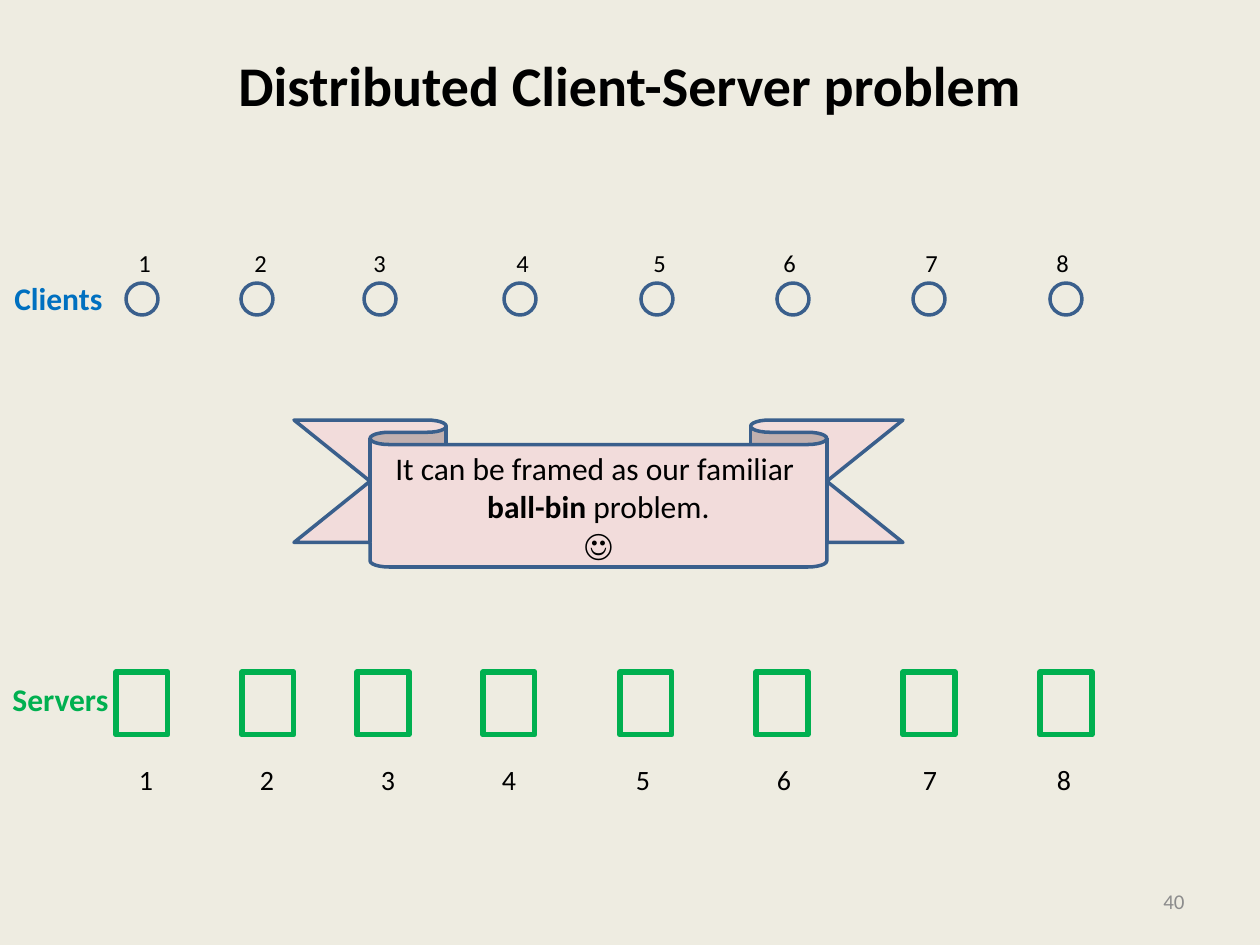
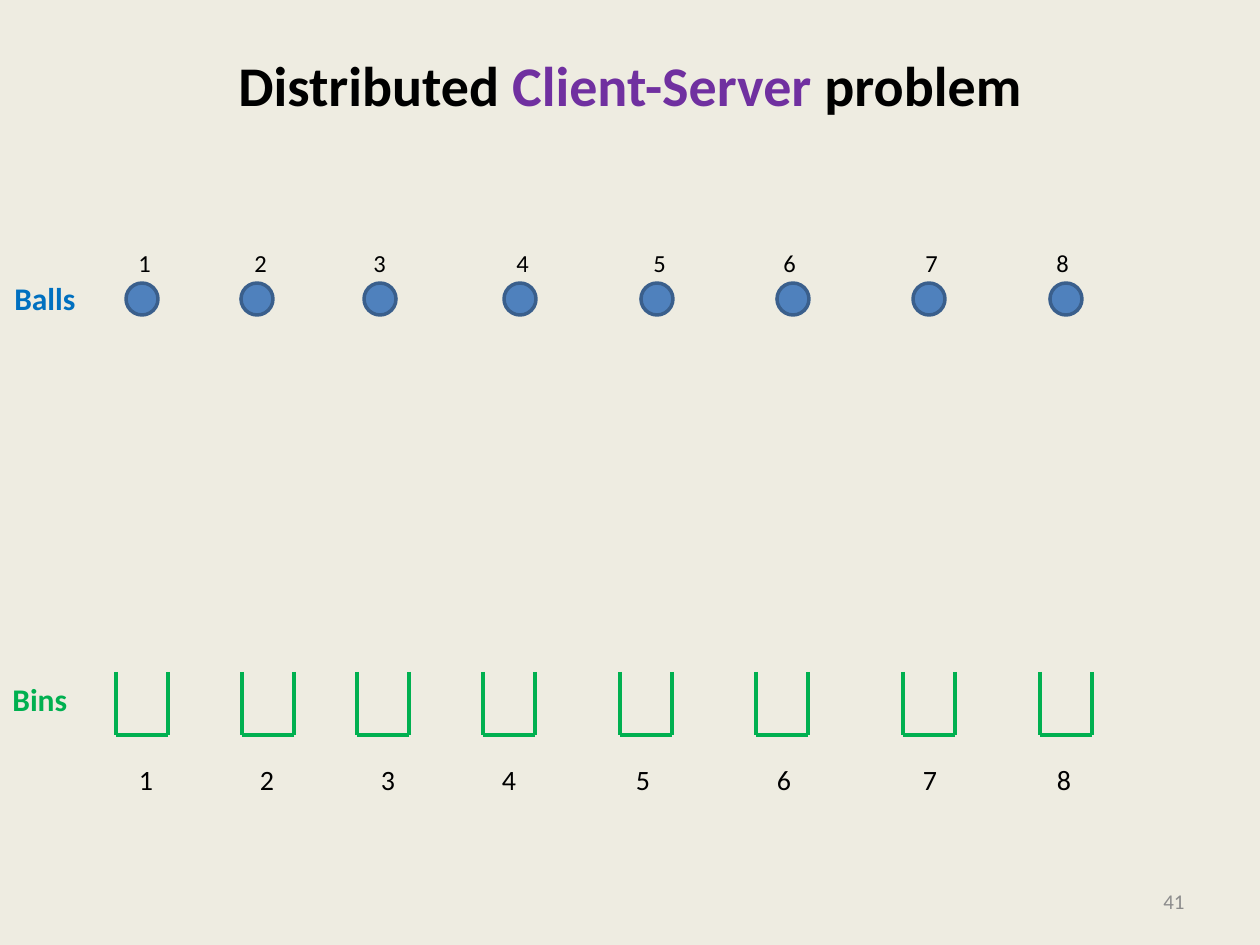
from collections import namedtuple
from dataclasses import dataclass

from lxml.etree import SubElement
from pptx import Presentation
from pptx.dml.color import RGBColor
from pptx.enum.shapes import MSO_CONNECTOR, MSO_SHAPE
from pptx.enum.text import MSO_ANCHOR as Anchor, PP_ALIGN as Align
from pptx.oxml.ns import qn
from pptx.util import Emu, Pt

PX = 914400 // 126
Box = namedtuple("Box", "left top width height")


@dataclass(frozen=True)
class Theme:
    font: str = "Calibri"
    paper: str = "EEECE1"
    ink: str = "000000"
    accent: str = "7030A0"
    muted: str = "8C8C8C"
    upper: str = "0070C0"
    lower: str = "00B050"
    outline: str = "3A5F8C"
    ball: str = "4F81BD"
    ribbon: str = "F2DCDB"
    title_size: int = 32
    body_size: int = 18
    bin_size: int = 16
    ball_size: int = 14
    footer_size: int = 12


THEME = Theme()

TITLE_BOX = Box(63, 38, 1134, 157)
NUMBER_BOX = Box(903, 876, 294, 50)
UPPER_BOX = Box(0, 242, 1082, 82)
LOWER_BOX = Box(0, 672, 1093, 131)
RIBBON_BOX = Box(294, 420, 609, 147)

BALL_LEFTS = (126, 241, 364, 504, 641, 777, 913, 1050)
BALL_NUMBER_LEFTS = (126, 242, 361, 504, 641, 771, 913, 1044)
BIN_LEFTS = (116, 242, 357, 483, 620, 756, 903, 1040)
BIN_NUMBER_CENTRES = (146, 267, 388, 509, 643, 784, 930, 1064)
BALL_SIDE = 32
BIN_WIDTH, BIN_HEIGHT = 52, 63


def emu(*lengths):
    return [Emu(length * PX) for length in lengths]


def colour(value):
    return RGBColor.from_string(value)


def add_run(para, text, size, ink=THEME.ink, bold=False):
    span = para.add_run()
    span.text = text
    span.font.name = THEME.font
    span.font.size = Pt(size)
    span.font.bold = bold
    span.font.color.rgb = colour(ink)


def add_text(page, box, align, anchor, wrap=True):
    frame = page.shapes.add_textbox(*emu(*box)).text_frame
    frame.word_wrap = wrap
    frame.vertical_anchor = anchor
    frame.paragraphs[0].alignment = align
    return frame


def add_label(page, box, text, size, ink=THEME.ink, bold=False, align=Align.LEFT):
    frame = add_text(page, box, align, Anchor.TOP, wrap=False)
    add_run(frame.paragraphs[0], text, size, ink, bold)


def add_outline(page, kind, box, line, weight, fill=None):
    shape = page.shapes.add_shape(kind, *emu(*box))
    shape.shadow.inherit = False
    shape.line.color.rgb = colour(line)
    shape.line.width = Pt(weight)
    if fill:
        shape.fill.solid()
        shape.fill.fore_color.rgb = colour(fill)
    else:
        shape.fill.background()
    return shape


def add_line(page, start, end):
    line = page.shapes.add_connector(MSO_CONNECTOR.STRAIGHT, *emu(*start, *end))
    line.line.color.rgb = colour(THEME.lower)
    line.line.width = Pt(2.25)
    SubElement(line._element.spPr, qn("a:effectLst"))


def add_title(page, box, parts):
    frame = add_text(page, box, Align.CENTER, Anchor.TOP)
    frame.margin_top = Emu(12 * PX)
    for text, ink in parts:
        add_run(frame.paragraphs[0], text, THEME.title_size, ink, True)


def add_page_number(page, box, number):
    frame = add_text(page, box, Align.RIGHT, Anchor.MIDDLE)
    add_run(frame.paragraphs[0], str(number), THEME.footer_size, THEME.muted)


def add_upper_row(page, box, name, name_width, fill=None):
    columns = zip(BALL_LEFTS, BALL_NUMBER_LEFTS)
    for number, (ball_left, number_left) in enumerate(columns, 1):
        ball = Box(box.left + ball_left, box.top + 41, BALL_SIDE, BALL_SIDE)
        add_outline(page, MSO_SHAPE.OVAL, ball, THEME.outline, 2, fill)
        label = Box(box.left + number_left, box.top, 38, 43)
        add_label(page, label, str(number), THEME.ball_size)
    label = Box(box.left + 2, box.top + 31, name_width, 51)
    add_label(page, label, name, THEME.body_size, THEME.upper, True)


def add_open_bin(page, box):
    right, bottom = box.left + box.width, box.top + box.height
    add_line(page, (box.left, box.top), (box.left, bottom))
    add_line(page, (right, box.top), (right, bottom))
    add_line(page, (box.left, bottom), (right, bottom))


def add_closed_bin(page, box):
    add_open_bin(page, box)
    add_outline(page, MSO_SHAPE.RECTANGLE, box, THEME.lower, 3)


def add_lower_row(page, box, name, name_width, add_bin):
    columns = zip(BIN_LEFTS, BIN_NUMBER_CENTRES)
    for number, (bin_left, centre) in enumerate(columns, 1):
        add_bin(page, Box(box.left + bin_left, box.top, BIN_WIDTH, BIN_HEIGHT))
        label = Box(box.left + centre - 20, box.top + 84, 40, 47)
        add_label(page, label, str(number), THEME.bin_size, align=Align.CENTER)
    label = Box(box.left, box.top + 2, name_width, 51)
    add_label(page, label, name, THEME.body_size, THEME.lower, True)


def add_ribbon(page, box, lines):
    ribbon = add_outline(page, MSO_SHAPE.DOWN_RIBBON, box, THEME.outline, 2, THEME.ribbon)
    ribbon.adjustments[0] = 0.167
    ribbon.adjustments[1] = 0.75
    frame = ribbon.text_frame
    frame.word_wrap = True
    frame.vertical_anchor = Anchor.MIDDLE
    for index, parts in enumerate(lines):
        para = frame.add_paragraph() if index else frame.paragraphs[0]
        para.alignment = Align.CENTER
        for text, bold in parts:
            add_run(para, text, THEME.body_size, bold=bold)


def add_page(deck, title, number):
    page = deck.slides.add_slide(deck.slide_layouts[6])
    page.background.fill.solid()
    page.background.fill.fore_color.rgb = colour(THEME.paper)
    add_title(page, TITLE_BOX, title)
    add_page_number(page, NUMBER_BOX, number)
    return page


def add_client_server_page(deck):
    page = add_page(deck, [("Distributed Client-Server problem", THEME.ink)], 40)
    add_upper_row(page, UPPER_BOX, "Clients", 113)
    add_lower_row(page, LOWER_BOX, "Servers", 122, add_closed_bin)
    add_ribbon(page, RIBBON_BOX, [
        [("It can be framed as our familiar ", False)],
        [("ball-bin", True), (" problem.", False)],
        [("☺", False)],
    ])


def add_ball_bin_page(deck):
    title = [
        ("Distributed ", THEME.ink),
        ("Client-Server ", THEME.accent),
        ("problem", THEME.ink),
    ]
    page = add_page(deck, title, 41)
    add_upper_row(page, UPPER_BOX, "Balls", 87, THEME.ball)
    add_lower_row(page, LOWER_BOX, "Bins", 81, add_open_bin)


def main():
    deck = Presentation()
    deck.slide_width, deck.slide_height = emu(1260, 945)
    add_client_server_page(deck)
    add_ball_bin_page(deck)
    deck.save("out.pptx")


if __name__ == "__main__":
    main()
